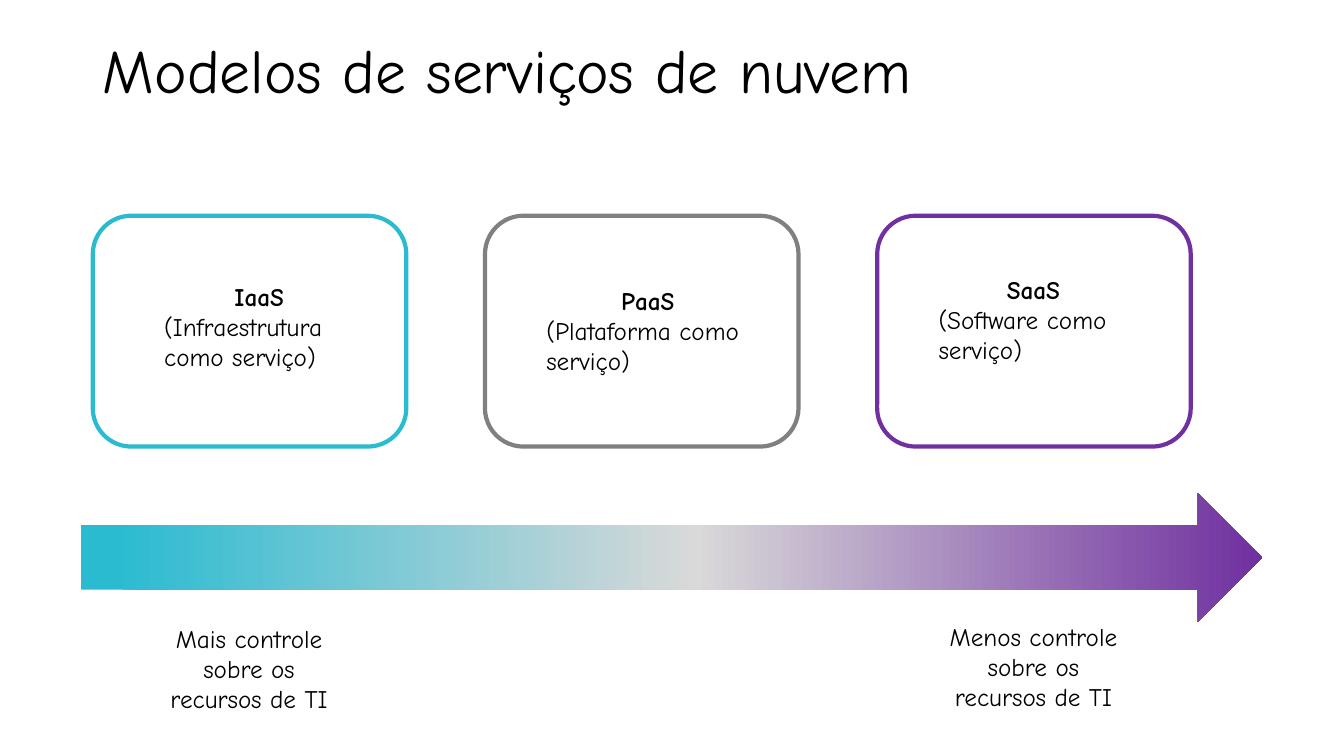
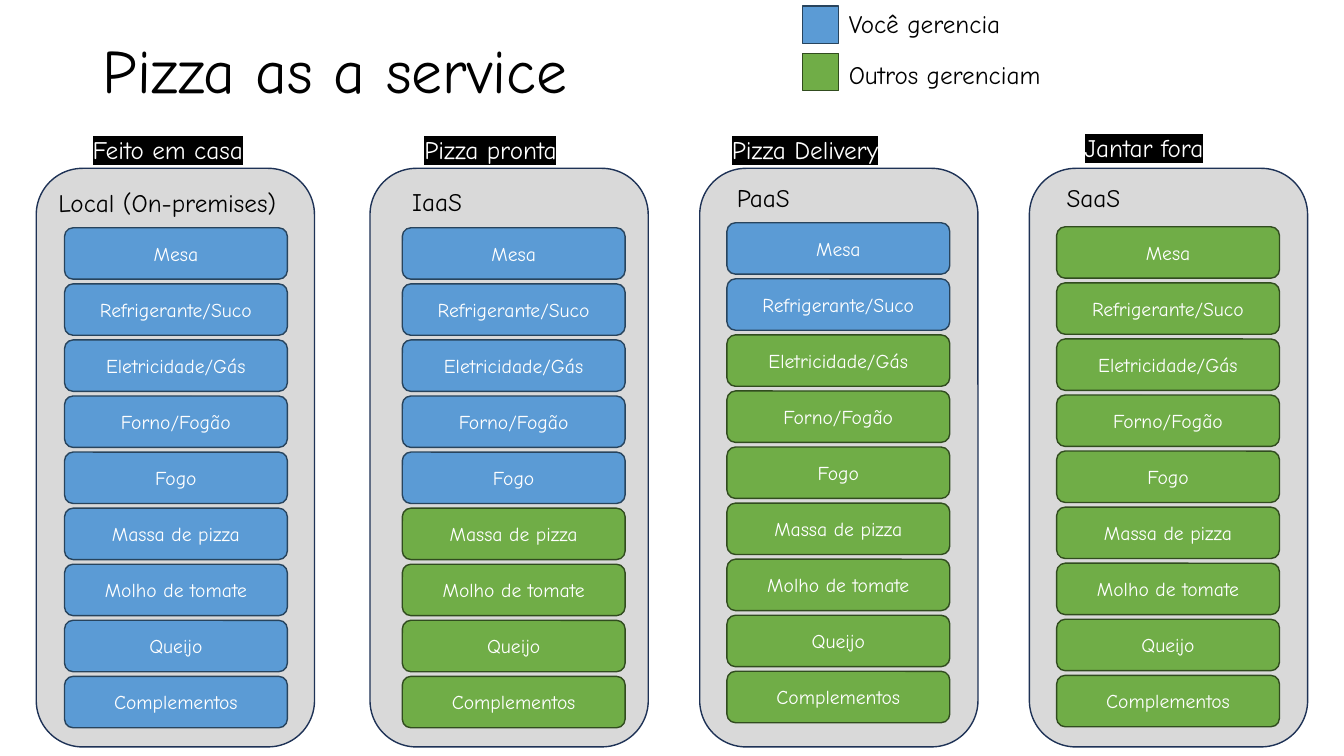
from copy import deepcopy
from dataclasses import dataclass

from lxml.etree import SubElement
from pptx import Presentation
from pptx.dml.color import RGBColor
from pptx.enum.shapes import MSO_SHAPE
from pptx.enum.text import MSO_ANCHOR, MSO_AUTO_SIZE, PP_ALIGN
from pptx.oxml.ns import qn
from pptx.util import Inches, Pt


@dataclass(frozen=True)
class Theme:
    font: str = "Comic Neue"
    title_size: int = 44
    label_size: int = 18
    layer_size: int = 14
    ink: str = "000000"
    paper: str = "FFFFFF"
    teal: str = "2BBBD1"
    gray: str = "808080"
    purple: str = "7030A0"
    panel: str = "D9D9D9"
    panel_line: str = "1E3256"
    # Fill and outline by who manages a layer
    yours: tuple = ("5B9BD5", "28445D")
    others: tuple = ("70AD47", "314C1F")


THEME = Theme()

# Service cards: name, meaning, outline, text left, top and width
CARD_LEFT, CARD_TOP, CARD_PITCH = 0.92, 2.14, 3.89
CARDS = [
    ("IaaS", "(Infraestrutura como serviço)", THEME.teal, 1.53, 2.74, 2.08),
    ("PaaS", "(Plataforma como serviço)", THEME.gray, 5.32, 2.78, 2.21),
    ("SaaS", "(Software como serviço)", THEME.purple, 9.21, 2.67, 2.08),
]

LAYERS = ["Mesa", "Refrigerante/Suco", "Eletricidade/Gás", "Forno/Fogão",
          "Fogo", "Massa de pizza", "Molho de tomate", "Queijo", "Complementos"]
LAYER_PITCH = 4.45 / (len(LAYERS) - 1)

# Pizza options: heading and its place, panel left, model and its place,
# stack left and top, number of layers you manage
OPTIONS = [
    ("Feito em casa", (0.82, 1.28), 0.36, "Local (On-premises)", (0.48, 1.81), (0.64, 2.26), 9),
    ("Pizza pronta", (4.11, 1.28), 3.67, "IaaS", (3.99, 1.8), (3.99, 2.26), 5),
    ("Pizza Delivery", (7.16, 1.28), 6.94, "PaaS", (7.21, 1.76), (7.21, 2.21), 2),
    ("Jantar fora", (10.66, 1.26), 10.21, "SaaS", (10.48, 1.76), (10.48, 2.25), 0),
]


def style(paragraph, size, color=THEME.ink, bold=False, align=PP_ALIGN.LEFT):
    paragraph.alignment = align
    font = paragraph.font
    font.name, font.size, font.bold = THEME.font, Pt(size), bold
    font.color.rgb = RGBColor.from_string(color)


def add_titled_slide(deck, title, width):
    slide = deck.slides.add_slide(deck.slide_layouts[5])
    heading = slide.shapes.title
    heading.left, heading.top = Inches(0.92), 0
    heading.width, heading.height = Inches(width), Inches(1.45)
    frame = heading.text_frame
    frame.text = title
    frame.vertical_anchor = MSO_ANCHOR.MIDDLE
    frame.auto_size = MSO_AUTO_SIZE.NONE
    frame.paragraphs[0].line_spacing = 0.9
    style(frame.paragraphs[0], THEME.title_size)
    return slide


def add_block(slide, kind, left, top, width, height, fill=None, line=None, line_width=1):
    block = slide.shapes.add_shape(
        kind, Inches(left), Inches(top), Inches(width), Inches(height))
    block.shadow.inherit = False
    if fill:
        block.fill.solid()
        block.fill.fore_color.rgb = RGBColor.from_string(fill)
    else:
        block.fill.background()
    if line:
        block.line.color.rgb = RGBColor.from_string(line)
        block.line.width = Pt(line_width)
    else:
        block.line.fill.background()
    return block


def add_label(slide, text, left, top, width, height=0.4, color=THEME.ink,
              align=PP_ALIGN.LEFT):
    label = slide.shapes.add_textbox(
        Inches(left), Inches(top), Inches(width), Inches(height))
    frame = label.text_frame
    frame.word_wrap = True
    frame.auto_size = MSO_AUTO_SIZE.SHAPE_TO_FIT_TEXT
    frame.text = text
    style(frame.paragraphs[0], THEME.label_size, color, align=align)
    return frame


def highlight(paragraph, color):
    for run in paragraph.runs:
        mark = SubElement(run._r.get_or_add_rPr(), qn("a:highlight"))
        SubElement(mark, qn("a:srgbClr"), val=color)


def add_card(slide, column, name, meaning, outline, left, top, width):
    add_block(slide, MSO_SHAPE.ROUNDED_RECTANGLE, CARD_LEFT + column * CARD_PITCH,
              CARD_TOP, 3.11, 2.29, line=outline, line_width=3)
    frame = add_label(slide, name, left, top, width, 1.01)
    style(frame.paragraphs[0], THEME.label_size, bold=True, align=PP_ALIGN.CENTER)
    description = frame.add_paragraph()
    description.text = meaning
    style(description, THEME.label_size)


def add_control_arrow(slide):
    arrow = add_block(slide, MSO_SHAPE.RIGHT_ARROW, 0.8, 4.89, 11.72, 1.28)
    arrow.fill.gradient()
    arrow.fill.gradient_angle = 0
    stop_list = next(arrow._element.iter(qn("a:gsLst")))
    stop_list.append(deepcopy(stop_list[0]))
    shades = [(0.03, THEME.teal), (0.52, THEME.panel), (1, THEME.purple)]
    for stop, (position, color) in zip(arrow.fill.gradient_stops, shades):
        stop.position = position
        stop.color.rgb = RGBColor.from_string(color)


def add_layer(slide, text, left, top, colors):
    layer = add_block(slide, MSO_SHAPE.FLOWCHART_ALTERNATE_PROCESS,
                      left, top, 2.21, 0.51, *colors)
    frame = layer.text_frame
    frame.text = text
    frame.vertical_anchor = MSO_ANCHOR.MIDDLE
    style(frame.paragraphs[0], THEME.layer_size, THEME.paper, align=PP_ALIGN.CENTER)


def add_option(slide, heading, heading_at, panel_left, model, model_at, stack_at, managed):
    add_block(slide, MSO_SHAPE.ROUNDED_RECTANGLE, panel_left, 1.67, 2.76, 5.74,
              THEME.panel, THEME.panel_line)
    left, top = stack_at
    for row, text in enumerate(LAYERS):
        colors = THEME.yours if row < managed else THEME.others
        add_layer(slide, text, left, top + row * LAYER_PITCH, colors)
    add_label(slide, model, *model_at, 2.53)
    frame = add_label(slide, heading, *heading_at, 1.85, color=THEME.paper)
    highlight(frame.paragraphs[0], THEME.ink)


def build_service_models(deck):
    slide = add_titled_slide(deck, "Modelos de serviços de nuvem", 11.5)
    add_control_arrow(slide)
    for column, card in enumerate(CARDS):
        add_card(slide, column, *card)
    # Ends of the control scale
    for amount, left, top in [("Mais", 1.43, 6.13), ("Menos", 9.21, 6.11)]:
        add_label(slide, f"{amount} controle sobre os recursos de TI",
                  left, top, 2.08, 1.01, align=PP_ALIGN.CENTER)


def build_pizza(deck):
    slide = add_titled_slide(deck, "Pizza as a service", 5.52)
    for option in OPTIONS:
        add_option(slide, *option)
    # Legend
    legend = [("Você gerencia", THEME.yours, 0.06, 0.03),
              ("Outros gerenciam", THEME.others, 0.53, 0.54)]
    for text, colors, key_top, text_top in legend:
        add_block(slide, MSO_SHAPE.RECTANGLE, 7.96, key_top, 0.36, 0.37, *colors)
        add_label(slide, text, 8.32, text_top, 4.5)


def main():
    deck = Presentation()
    deck.slide_width, deck.slide_height = Inches(13.33), Inches(7.5)
    build_service_models(deck)
    build_pizza(deck)
    deck.save("out.pptx")


if __name__ == "__main__":
    main()
